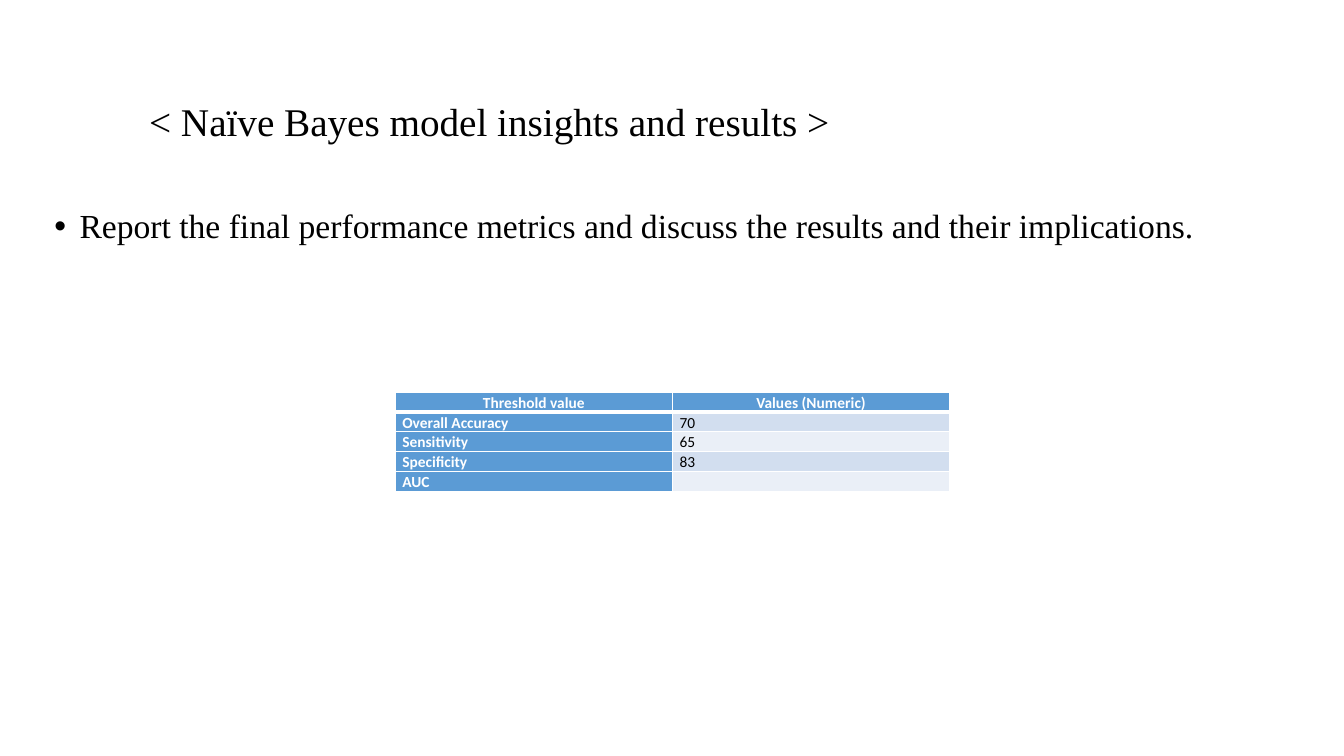
import pptx
import pptx.dml.color
import pptx.enum.text
import pptx.oxml
import pptx.oxml.ns
import pptx.util
from lxml import etree

Inches = pptx.util.Inches
Pt = pptx.util.Pt
qn = pptx.oxml.ns.qn
PP_ALIGN = pptx.enum.text.PP_ALIGN
MSO_ANCHOR = pptx.enum.text.MSO_ANCHOR

TITLE = "< Naïve Bayes model insights and results >"
BULLET = "Report the final performance metrics and discuss the results and their implications."
METRICS = [
    ("Threshold value", "Values (Numeric)"),
    ("Overall Accuracy", "70"),
    ("Sensitivity", "65"),
    ("Specificity", "83"),
    ("AUC", ""),
]
COLORS = {
    "text": "000000",
    "white": "FFFFFF",
    "header": "5B9BD5",
    "odd": "D2DEEF",
    "even": "EAEFF7",
}
SERIF, SANS = "Times New Roman", "Calibri"
COLUMN_WIDTH, ROW_HEIGHT = 2.75, 0.19


def rgb(name):
    return pptx.dml.color.RGBColor.from_string(COLORS[name])


def add_run(paragraph, text, size, font, color="text", bold=False):
    run = paragraph.add_run()
    run.text = text
    run.font.size = Pt(size)
    run.font.name = font
    run.font.bold = bold
    run.font.color.rgb = rgb(color)


def set_borders(cell, widths):
    """Draw white borders; widths maps a side (L, R, T, B) to points."""
    properties = cell._tc.get_or_add_tcPr()
    for side, width in widths.items():
        line = etree.SubElement(properties, qn(f"a:ln{side}"), w=str(Pt(width)))
        fill = etree.SubElement(line, qn("a:solidFill"))
        etree.SubElement(fill, qn("a:srgbClr"), val=COLORS["white"])


def fill_cell(cell, text, row, column):
    is_header = row == 0 or column == 0
    set_borders(cell, {"L": 1, "R": 1, "T": 3 if row == 1 else 1, "B": 3 if row == 0 else 1})
    cell.fill.solid()
    cell.fill.fore_color.rgb = rgb("header" if is_header else "odd" if row % 2 else "even")
    cell.margin_left = cell.margin_right = Inches(0.07)
    cell.margin_top = cell.margin_bottom = 0
    paragraph = cell.text_frame.paragraphs[0]
    paragraph.line_spacing = 1.07
    paragraph.alignment = PP_ALIGN.CENTER if row == 0 else PP_ALIGN.LEFT
    if text:
        add_run(paragraph, text, 11, SANS, "white" if is_header else "text", is_header)
    else:
        etree.SubElement(paragraph._p, qn("a:endParaRPr"), sz="1100")


def add_title(slide):
    title = slide.shapes.title
    title.left, title.top = Inches(1.24), Inches(0.7)
    title.width, title.height = Inches(10.19), Inches(0.94)
    frame = title.text_frame
    frame.auto_size = pptx.enum.text.MSO_AUTO_SIZE.NONE
    frame.vertical_anchor = MSO_ANCHOR.MIDDLE
    paragraph = frame.paragraphs[0]
    paragraph.alignment = PP_ALIGN.LEFT
    paragraph.line_spacing = 0.9
    add_run(paragraph, " ", 40, SERIF, bold=True)
    add_run(paragraph, TITLE, 28, SERIF)


def add_bullet(slide):
    body = slide.shapes.add_textbox(Inches(0.44), Inches(2.03), Inches(12.21), Inches(4.75))
    body.text_frame.word_wrap = True
    paragraph = body.text_frame.paragraphs[0]
    paragraph.line_spacing = 0.9
    paragraph.space_before = Pt(10)
    properties = paragraph._p.get_or_add_pPr()
    properties.set("marL", str(Inches(0.25)))
    properties.set("indent", str(-Inches(0.25)))
    etree.SubElement(properties, qn("a:buFont"), typeface="Arial")
    etree.SubElement(properties, qn("a:buChar"), char="•")
    add_run(paragraph, BULLET, 24, SERIF)


def add_metrics(slide):
    rows, columns = len(METRICS), len(METRICS[0])
    table = slide.shapes.add_table(
        rows, columns, Inches(3.92), Inches(3.89),
        Inches(columns * COLUMN_WIDTH), Inches(rows * ROW_HEIGHT),
    ).table
    for row, texts in enumerate(METRICS):
        for column, text in enumerate(texts):
            fill_cell(table.cell(row, column), text, row, column)


def main():
    deck = pptx.Presentation()
    deck.slide_width, deck.slide_height = Inches(13.33), Inches(7.5)
    slide = deck.slides.add_slide(deck.slide_layouts[5])
    add_title(slide)
    add_bullet(slide)
    add_metrics(slide)
    deck.save("out.pptx")


if __name__ == "__main__":
    main()
